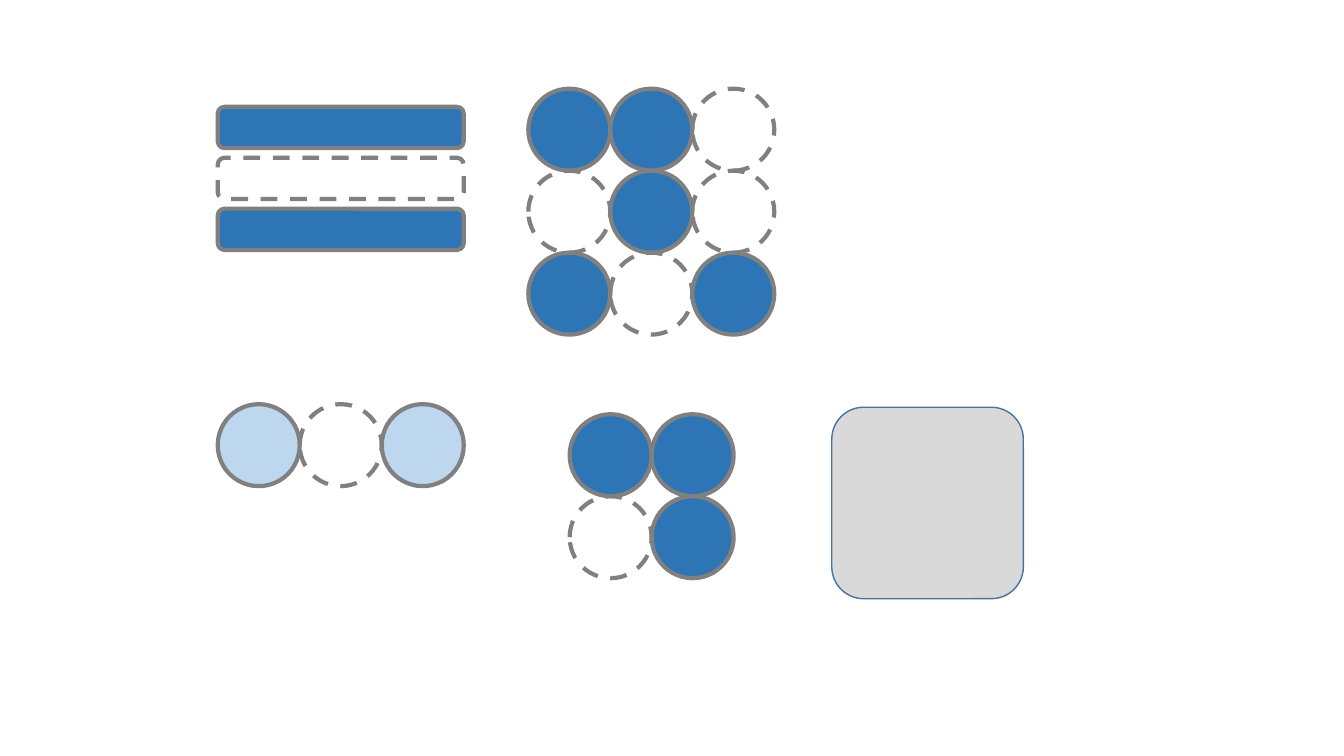
"""Build a slide of bar and circle grids with filled and dashed empty cells."""
from dataclasses import dataclass

from pptx import Presentation
from pptx.dml.color import RGBColor
from pptx.enum.dml import MSO_LINE
from pptx.enum.shapes import MSO_SHAPE
from pptx.shapes.autoshape import Shape
from pptx.slide import Slide
from pptx.util import Inches, Pt

ROUNDED = MSO_SHAPE.ROUNDED_RECTANGLE
OVAL = MSO_SHAPE.OVAL
DASH = MSO_LINE.DASH

BLUE = RGBColor(0x2E, 0x75, 0xB6)
PALE_BLUE = RGBColor(0xBD, 0xD7, 0xEE)
EDGE_BLUE = RGBColor(0x43, 0x73, 0x9E)
GRAY = RGBColor(0x80, 0x80, 0x80)
LIGHT_GRAY = RGBColor(0xD9, 0xD9, 0xD9)

FILLED = "#"
BAR_WIDTH = 2.44
DIAMETER = BAR_WIDTH / 3


@dataclass(frozen=True)
class CellGrid:
    """A grid whose rows mark filled cells with # and empty cells with a dot."""
    left: float
    top: float
    rows: tuple[str, ...]
    color: RGBColor = BLUE
    kind: MSO_SHAPE = OVAL
    width: float = DIAMETER
    height: float = DIAMETER
    row_step: float = DIAMETER


GRIDS = (
    CellGrid(2.16, 1.06, ("#", ".", "#"), kind=ROUNDED,
             width=BAR_WIDTH, height=0.41, row_step=0.505),
    CellGrid(2.16, 4.01, ("#.#",), color=PALE_BLUE),
    CellGrid(5.24, 0.88, ("##.", ".#.", "#.#")),
    CellGrid(5.65, 4.11, ("##", ".#")),
)


def add_box(slide: Slide, kind: MSO_SHAPE, left: float, top: float,
            width: float, height: float, fill: RGBColor | None,
            edge: RGBColor, edge_width: float) -> Shape:
    """Add an outlined shape, left unfilled when no fill is given."""
    box = slide.shapes.add_shape(
        kind, Inches(left), Inches(top), Inches(width), Inches(height))
    box.shadow.inherit = False
    if fill is None:
        box.fill.background()
    else:
        box.fill.solid()
        box.fill.fore_color.rgb = fill
    box.line.color.rgb = edge
    box.line.width = Pt(edge_width)
    return box


def draw_grid(slide: Slide, grid: CellGrid) -> None:
    """Draw every cell of a grid, dashing the empty ones."""
    for row, marks in enumerate(grid.rows):
        for column, mark in enumerate(marks):
            is_filled = mark == FILLED
            cell = add_box(
                slide, grid.kind,
                grid.left + column * grid.width,
                grid.top + row * grid.row_step,
                grid.width, grid.height,
                grid.color if is_filled else None, GRAY, 3)
            if not is_filled:
                cell.line.dash_style = DASH


def main() -> None:
    """Build and save the deck."""
    deck = Presentation()
    deck.slide_width = Inches(13.33)
    deck.slide_height = Inches(7.5)
    slide = deck.slides.add_slide(deck.slide_layouts[6])
    add_box(slide, ROUNDED, 8.25, 4.04, 1.9, 1.9, LIGHT_GRAY, EDGE_BLUE, 1)
    for grid in GRIDS:
        draw_grid(slide, grid)
    deck.save("out.pptx")


main()
